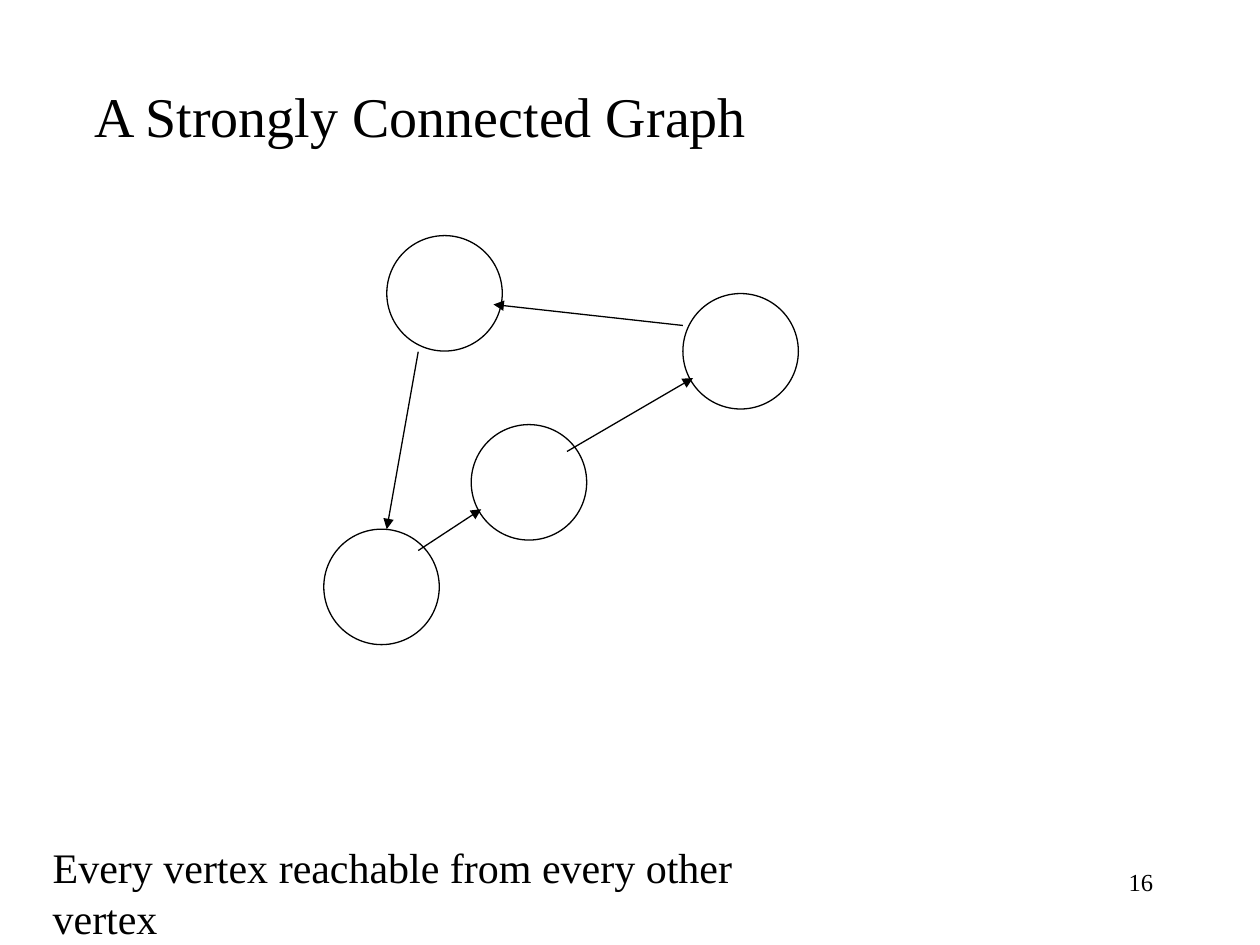
from pptx import Presentation
from pptx.dml.color import RGBColor
from pptx.enum import shapes, text
from pptx.oxml.ns import qn
from pptx.util import Pt
from lxml import etree


def color(value):
    return RGBColor.from_string(value)


prs = Presentation()
prs.slide_width, prs.slide_height = Pt(720), Pt(540)
s = prs.slides.add_slide(prs.slide_layouts[6])

diameter = 66
vertices = [(269.28, 242.64), (390.24, 167.76), (221.04, 134.64), (185.04, 302.4)]
for x, y in vertices:
    sp = s.shapes.add_shape(shapes.MSO_SHAPE.OVAL, Pt(x), Pt(y), Pt(diameter), Pt(diameter))
    sp.shadow.inherit = False
    sp.fill.background()
    sp.line.color.rgb = color("000000")
    sp.line.width = Pt(0.75)

edges = [
    (239, 201, 221, 302.4),
    (239, 314.6, 275, 291),
    (324, 258, 396, 216),
    (390.24, 186, 282, 174),
]
for ends in edges:
    sp = s.shapes.add_connector(shapes.MSO_CONNECTOR.STRAIGHT, *map(Pt, ends))
    sp.line.color.rgb = color("000000")
    sp.line.width = Pt(0.75)
    etree.SubElement(sp.line._get_or_add_ln(), qn("a:tailEnd"), type="triangle")
    etree.SubElement(sp._element.spPr, qn("a:effectLst"))

left, right = text.PP_ALIGN.LEFT, text.PP_ALIGN.RIGHT
labels = [
    ("A Strongly Connected Graph", 46.8, 43.2, 392, 45.4, 32, left),
    ("Every vertex reachable from every other vertex", 23, 477.4, 464, 36, 24, left),
    ("16", 516.24, 491.76, 149.76, 36, 14, right),
]
for words, x, y, w, h, size, align in labels:
    tf = s.shapes.add_textbox(Pt(x), Pt(y), Pt(w), Pt(h)).text_frame
    tf.word_wrap = True
    p = tf.paragraphs[0]
    p.text = words
    p.alignment = align
    p.font.name = "Times New Roman"
    p.font.size = Pt(size)
    p.font.color.rgb = color("000000")

prs.save("out.pptx")
